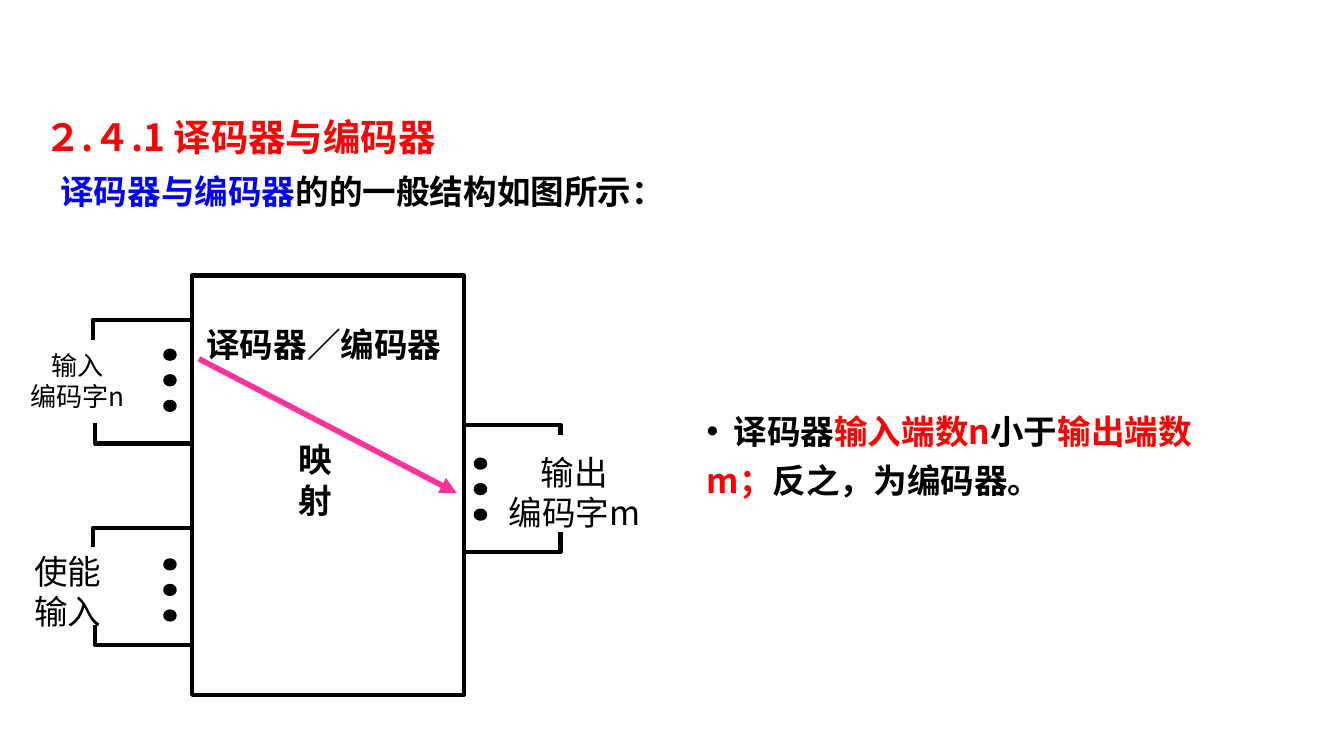
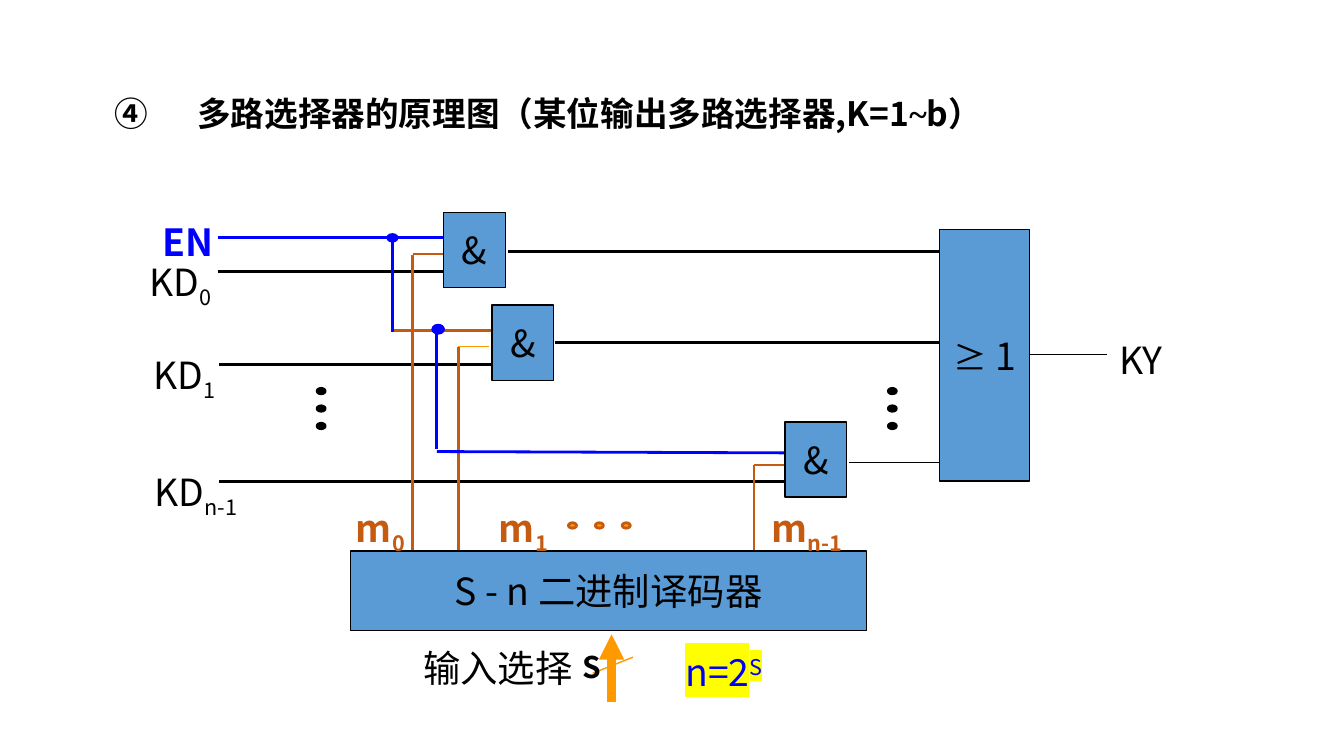
from lxml.etree import SubElement
from pptx import Presentation
from pptx.dml.color import RGBColor
from pptx.enum.shapes import MSO_CONNECTOR as Connector, MSO_SHAPE as Shape
from pptx.enum.text import MSO_ANCHOR as Anchor, PP_ALIGN as Align
from pptx.oxml.ns import qn
from pptx.util import Inches, Pt

FONT = "Noto Sans CJK JP"
BLACK = RGBColor(0x00, 0x00, 0x00)
WHITE = RGBColor(0xFF, 0xFF, 0xFF)
RED = RGBColor(0xFF, 0x00, 0x00)
BLUE = RGBColor(0x00, 0x00, 0xFF)
PINK = RGBColor(0xFF, 0x33, 0x99)
STEEL = RGBColor(0x5B, 0x9B, 0xD5)
RUST = RGBColor(0xC5, 0x5A, 0x11)
ORANGE = RGBColor(0xFF, 0x99, 0x00)

# Slide 1: a paragraph is a list of (text, format) spans
HEADING = [("２.４.1 译码器与编码器", {"size": 20, "color": RED, "bold": True})]
INTRO = [("译码器与编码器", {"color": BLUE, "bold": True}),
         ("的的一般结构如图所示：", {"bold": True})]
RULE = [("\t译码器", {"bold": True}),
        ("输入端数n", {"color": RED, "bold": True}),
        ("小于", {"bold": True}),
        ("输出端数m；", {"color": RED, "bold": True}),
        ("反之，为编码器。", {"bold": True})]

# Bracket halves: block edge x, outer x, line y, tip y
BRACKETS = [
    (1.41, 0.69, 2.38, 2.53), (1.42, 0.71, 3.30, 3.15),
    (1.41, 0.69, 3.93, 4.07), (1.42, 0.71, 4.80, 4.65),
    (3.45, 4.17, 3.16, 3.24), (3.45, 4.17, 4.11, 3.96),
]
PORT_DOTS = [(1.23, 2.61), (1.23, 4.17), (3.54, 3.42)]
BLOCK_LABELS = [  # area, lines, format
    ((0.07, 2.55, 1.01, 0.57), ["输入", "编码字n"], {"size": 14}),
    ((-0.05, 4.05, 1.11, 0.7), ["使能", "输入"], {}),
    ((3.62, 3.31, 1.31, 0.71), ["输出", "编码字m"], {}),
    ((1.16, 2.36, 2.5, 0.4), ["译码器／编码器"], {"bold": True}),
    ((2.04, 3.22, 0.61, 0.7), ["映射"], {"bold": True}),
]

# Slide 2
TITLE = [("多路选择器的原理图（某位输出多路选择器,K=1", {"bold": True}),
         ("~", {"bold": True, "name": "Times New Roman"}),
         ("b）", {"bold": True})]
WIRES = {  # (colour, width): x1, y1, x2, y2
    (BLACK, 1.5): [(1.62, 2.02, 3.3, 2.02), (1.63, 2.71, 3.66, 2.71),
                   (1.63, 3.58, 5.85, 3.58), (3.78, 1.87, 7.23, 1.87),
                   (4.13, 2.55, 7.2, 2.55)],
    (BLACK, 0.75): [(6.32, 3.44, 7.01, 3.44), (7.66, 2.64, 8.24, 2.64)],
    (RUST, 1.5): [(2.92, 2.46, 3.69, 2.46), (3.07, 1.89, 3.3, 1.89),
                  (3.07, 1.9, 3.07, 4.09), (3.41, 2.58, 3.41, 4.1),
                  (5.61, 3.46, 5.84, 3.46), (5.61, 3.46, 5.61, 4.09)],
    (BLUE, 1.5): [(1.62, 1.77, 3.3, 1.77), (2.92, 1.76, 2.92, 2.47),
                  (3.25, 2.46, 3.25, 3.34), (3.25, 3.36, 5.84, 3.37)],
    (ORANGE, 0.75): [(3.41, 2.58, 3.64, 2.58), (4.41, 5.01, 4.71, 4.89)],
}
BIG = {"size": 20}
AND_GATES = [(3.3, 1.58), (3.66, 2.27), (5.84, 3.14)]
BLOCKS = [((x, y, 0.46, 0.56), [("&", BIG)]) for x, y in AND_GATES] + [
    ((2.61, 4.1, 3.84, 0.59), [("S - n 二进制译码器", BIG)]),
    ((6.99, 1.71, 0.67, 1.87), [("≥", {}), (" 1", BIG)]),
]
JUNCTIONS = [(2.88, 1.74, 0.75), (3.22, 2.42, 1.5)]
MINTERM = {"size": 20, "color": RUST, "bold": True}
WIRE_LABELS = [  # area, text, subscript, format
    ((1.06, 1.58, 0.68, 0.43), "EN", "", {"size": 20, "color": BLUE, "bold": True}),
    ((0.97, 1.88, 0.74, 0.44), "KD", "0", BIG),
    ((1.03, 2.57, 0.68, 0.44), "KD", "1", BIG),
    ((1.04, 3.44, 0.84, 0.44), "KD", "n-1", BIG),
    ((2.52, 3.71, 0.62, 0.43), "m", "0", MINTERM),
    ((3.41, 3.71, 0.97, 0.43), "m", "1", MINTERM),
    ((5.55, 3.71, 0.91, 0.43), "m", "n-1", MINTERM),
    ((8.21, 2.46, 0.56, 0.44), "KY", "", BIG),
    ((2.8, 4.75, 1.81, 0.43), "输入选择", "", BIG),
    ((4.23, 4.78, 0.34, 0.37), "S", "", {"size": 16, "bold": True}),
]
POWER = {"size": 20, "color": BLUE, "highlight": "FFFF00"}
FORMULA = [("n=2", POWER), ("S", {**POWER, "baseline": 30000})]


def add_span(para, text, style):
    span = para.add_run()
    span.text = text
    values = {"size": 18, "name": FONT, "bold": False, "color": BLACK, **style}
    span.font.color.rgb = values["color"]
    props = span._r.get_or_add_rPr()
    if "highlight" in values:
        mark = SubElement(props, qn("a:highlight"))
        SubElement(mark, qn("a:srgbClr"), val=values["highlight"])
    if "baseline" in values:
        props.set("baseline", str(values["baseline"]))
    formats = {"size": Pt(values["size"]), "name": values["name"], "bold": values["bold"]}
    for key, value in formats.items():
        setattr(span.font, key, value)
    SubElement(props, qn("a:ea"), typeface=values["name"])


def fill_text(frame, paragraphs, align=Align.CENTER, spacing=None):
    for index, spans in enumerate(paragraphs):
        para = frame.paragraphs[0] if index == 0 else frame.add_paragraph()
        para.alignment = align
        if spacing:
            para.line_spacing = spacing
        for text, style in spans:
            add_span(para, text, style)


def add_text(page, area, paragraphs, align=Align.CENTER, spacing=None):
    box = page.shapes.add_textbox(*map(Inches, area))
    box.text_frame.word_wrap = True
    fill_text(box.text_frame, paragraphs, align, spacing)
    return box.text_frame.paragraphs


def set_indent(para, margin, indent):
    props = para._p.get_or_add_pPr()
    props.set("marL", str(Inches(margin)))
    props.set("indent", str(Inches(indent)))
    return props


def add_block(page, kind, area, fill, line, weight):
    block = page.shapes.add_shape(kind, *map(Inches, area))
    block.shadow.inherit = False
    block.fill.solid()
    block.fill.fore_color.rgb = fill
    block.line.color.rgb = line
    block.line.width = Pt(weight)
    return block


def add_dots(page, x, y, size, step, fill, line, weight):
    for index in range(3):
        area = (x + index * step[0], y + index * step[1], *size)
        add_block(page, Shape.OVAL, area, fill, line, weight)


def add_wire(page, ends, color, weight, arrow=False):
    wire = page.shapes.add_connector(Connector.STRAIGHT, *map(Inches, ends))
    wire.line.color.rgb = color
    wire.line.width = Pt(weight)
    if arrow:
        SubElement(wire.line._get_or_add_ln(), qn("a:tailEnd"), type="triangle")
    SubElement(wire._element.spPr, qn("a:effectLst"))


def add_bracket(page, edge, outer, y, tip):
    points = [(Inches(px), Inches(py)) for px, py in ((edge, y), (outer, y), (outer, tip))]
    builder = page.shapes.build_freeform(*points[0])
    builder.add_line_segments(points[1:], close=False)
    bracket = builder.convert_to_shape()
    bracket.shadow.inherit = False
    bracket.fill.background()
    bracket.line.color.rgb = BLACK
    bracket.line.width = Pt(2.25)


def build_structure(page):
    # Heading and rule
    paras = add_text(page, (0.23, 0.7, 8.58, 1.06), [HEADING, INTRO], Align.LEFT, 1.3)
    set_indent(paras[1], 0.12, 0)
    rule = add_text(page, (5.16, 2.95, 4.26, 0.83), [RULE], Align.LEFT, 1.2)[0]
    props = set_indent(rule, 0, 0)
    SubElement(props, qn("a:buFont"), typeface="Arial")
    SubElement(props, qn("a:buChar"), char="•")
    stops = SubElement(props, qn("a:tabLst"))
    SubElement(stops, qn("a:tab"), pos=str(Inches(0.2)), algn="l")

    # Block diagram
    for bracket in BRACKETS:
        add_bracket(page, *bracket)
    add_block(page, Shape.RECTANGLE, (1.43, 2.05, 2.02, 3.12), WHITE, BLACK, 2.25)
    for x, y in PORT_DOTS:
        add_dots(page, x, y, (0.07, 0.06), (0, 0.19), BLACK, BLACK, 2.25)
    add_wire(page, (1.48, 2.67, 3.4, 3.67), PINK, 3, arrow=True)
    for area, lines, style in BLOCK_LABELS:
        add_text(page, area, [[(line, style)] for line in lines])


def build_multiplexer(page):
    # Numbered title
    title = add_text(page, (0.75, 0.68, 9.25, 0.44), [TITLE], Align.LEFT, 0.9)[0]
    props = set_indent(title, 0.62, -0.62)
    SubElement(props, qn("a:buAutoNum"), type="circleNumDbPlain", startAt="4")

    # Wires, gates and dots
    for (color, weight), wires in WIRES.items():
        for ends in wires:
            add_wire(page, ends, color, weight)
    for area, spans in BLOCKS:
        frame = add_block(page, Shape.RECTANGLE, area, STEEL, BLACK, 0.75).text_frame
        frame.word_wrap = False
        frame.vertical_anchor = Anchor.MIDDLE
        fill_text(frame, [spans])
    for x, y, weight in JUNCTIONS:
        add_block(page, Shape.OVAL, (x, y, 0.08, 0.06), BLUE, BLUE, weight)
    for x in (2.36, 6.61):
        add_dots(page, x, 2.89, (0.06, 0.04), (0, 0.13), BLACK, BLACK, 1.5)
    add_dots(page, 4.23, 3.89, (0.06, 0.04), (0.2, 0), ORANGE, RUST, 1.5)

    # Labels and select input
    for area, text, subscript, style in WIRE_LABELS:
        spans = [(text, style)]
        if subscript:
            spans.append((subscript, {**style, "baseline": -25000}))
        add_text(page, area, [spans])
    add_wire(page, (4.55, 5.22, 4.55, 4.72), ORANGE, 4.5, arrow=True)
    add_text(page, (5, 4.78, 1.02, 0.44), [FORMULA], Align.LEFT)


def main():
    deck = Presentation()
    deck.slide_width = Inches(10)
    deck.slide_height = deck.slide_width * 9 // 16
    for build in (build_structure, build_multiplexer):
        build(deck.slides.add_slide(deck.slide_layouts[6]))
    deck.save("out.pptx")


if __name__ == "__main__":
    main()
